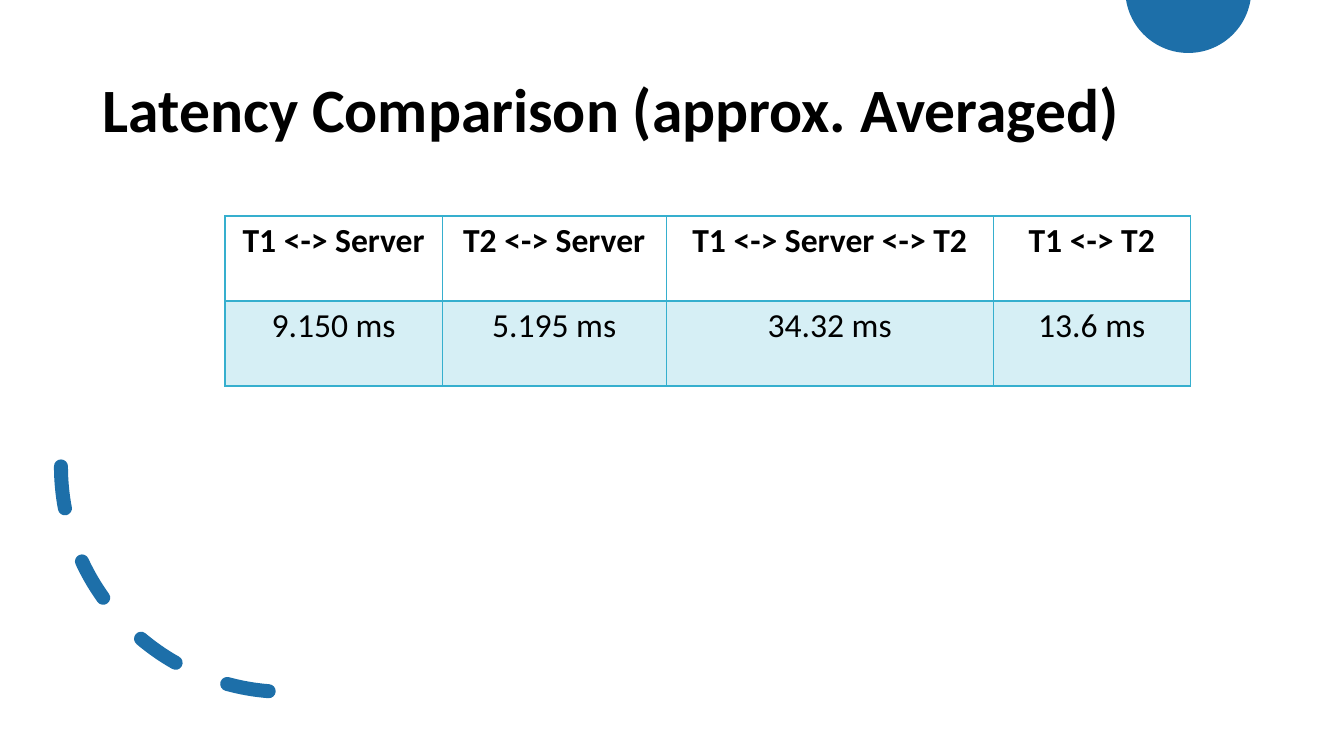
from math import asin, cos, pi, sin

from lxml.etree import SubElement
from pptx import Presentation
from pptx.dml.color import RGBColor
from pptx.enum.dml import MSO_LINE
from pptx.enum.shapes import MSO_SHAPE as SHAPE
from pptx.enum.text import MSO_ANCHOR as ANCHOR, PP_ALIGN as ALIGN
from pptx.oxml.ns import qn
from pptx.util import Emu, Inches, Pt

PX = 914400 / 100.8
BLUE = RGBColor(0x1D, 0x6F, 0xA9)
TEAL = RGBColor(0x36, 0xAF, 0xCE)
BLACK = RGBColor(0, 0, 0)


def px(*lengths):
    return [Emu(round(length * PX)) for length in lengths]


def add_text(paragraph, text, size, bold):
    run = paragraph.add_run()
    run.text = text
    run.font.name = "Calibri"
    run.font.size = Pt(size)
    run.font.bold = bold
    run.font.color.rgb = BLACK


prs = Presentation()
prs.slide_width, prs.slide_height = Inches(13.33), Inches(7.5)
slide = prs.slides.add_slide(prs.slide_layouts[6])
shapes = slide.shapes

# Disc cut off by the top edge
center_x, center_y, radius, steps = 1188, -10, 63, 60
start = asin(-center_y / radius)
angles = [start + (pi - 2 * start) * i / steps for i in range(steps + 1)]
rim = [(round((center_x + radius * cos(a)) * PX), round((center_y + radius * sin(a)) * PX))
       for a in angles]
builder = shapes.build_freeform(*rim[0], scale=1.0)
builder.add_line_segments(rim[1:], close=True)
disc = builder.convert_to_shape()
disc.shadow.inherit = False
disc.fill.solid()
disc.fill.fore_color.rgb = BLUE
disc.line.fill.background()

# Title
title = shapes.add_textbox(*px(93, 40, 1159, 146)).text_frame
title.word_wrap = True
title.vertical_anchor = ANCHOR.MIDDLE
title.paragraphs[0].line_spacing = 0.9
add_text(title.paragraphs[0], "Latency Comparison (approx. Averaged)", 44, True)

# Dashed arc, drawn from the left side to the bottom
arc = shapes.add_shape(SHAPE.ARC, *px(61, 241, 451, 451))
arc.shadow.inherit = False
arc.rotation = 90
arc.element.spPr.find(qn("a:xfrm")).set("flipV", "1")
arc.fill.background()
arc.line.color.rgb = BLUE
arc.line.width = Pt(10)
arc.line.dash_style = MSO_LINE.DASH
arc.element.spPr.find(qn("a:ln")).set("cap", "rnd")

# Latency table
LATENCIES = [
    ("T1 <-> Server", "9.150\u00a0ms".replace("\u00a0", " "), 217),
    ("T2 <-> Server", "5.195 ms", 224),
    ("T1 <-> Server <-> T2", "34.32 ms", 327),
    ("T1 <-> T2", "13.6 ms", 197),
]
table = shapes.add_table(2, len(LATENCIES), *px(225, 216, 965, 170)).table
table.first_row = table.horz_banding = False
for row in table.rows:
    row.height = px(85)[0]

for col, (route, latency, width) in enumerate(LATENCIES):
    table.columns[col].width = px(width)[0]
    for row, text in enumerate((route, latency)):
        cell = table.cell(row, col)
        paragraph = cell.text_frame.paragraphs[0]
        paragraph.alignment = ALIGN.CENTER
        add_text(paragraph, text, 24, row == 0)

        # Borders, heavier between header and values
        tc_pr = cell._tc.get_or_add_tcPr()
        for side in "LRTB":
            heavy = (row, side) in ((0, "B"), (1, "T"))
            border = SubElement(tc_pr, qn(f"a:ln{side}"), w=str(Pt(2 if heavy else 1)))
            paint = SubElement(border, qn("a:solidFill"))
            SubElement(paint, qn("a:srgbClr"), val=str(TEAL))

        # Header is clear, values have a light tint
        if row == 0:
            cell.fill.background()
        else:
            cell.fill.solid()
            cell.fill.fore_color.rgb = TEAL
            tint = tc_pr.find(qn("a:solidFill")).find(qn("a:srgbClr"))
            SubElement(tint, qn("a:alpha"), val="20000")

prs.save("out.pptx")
